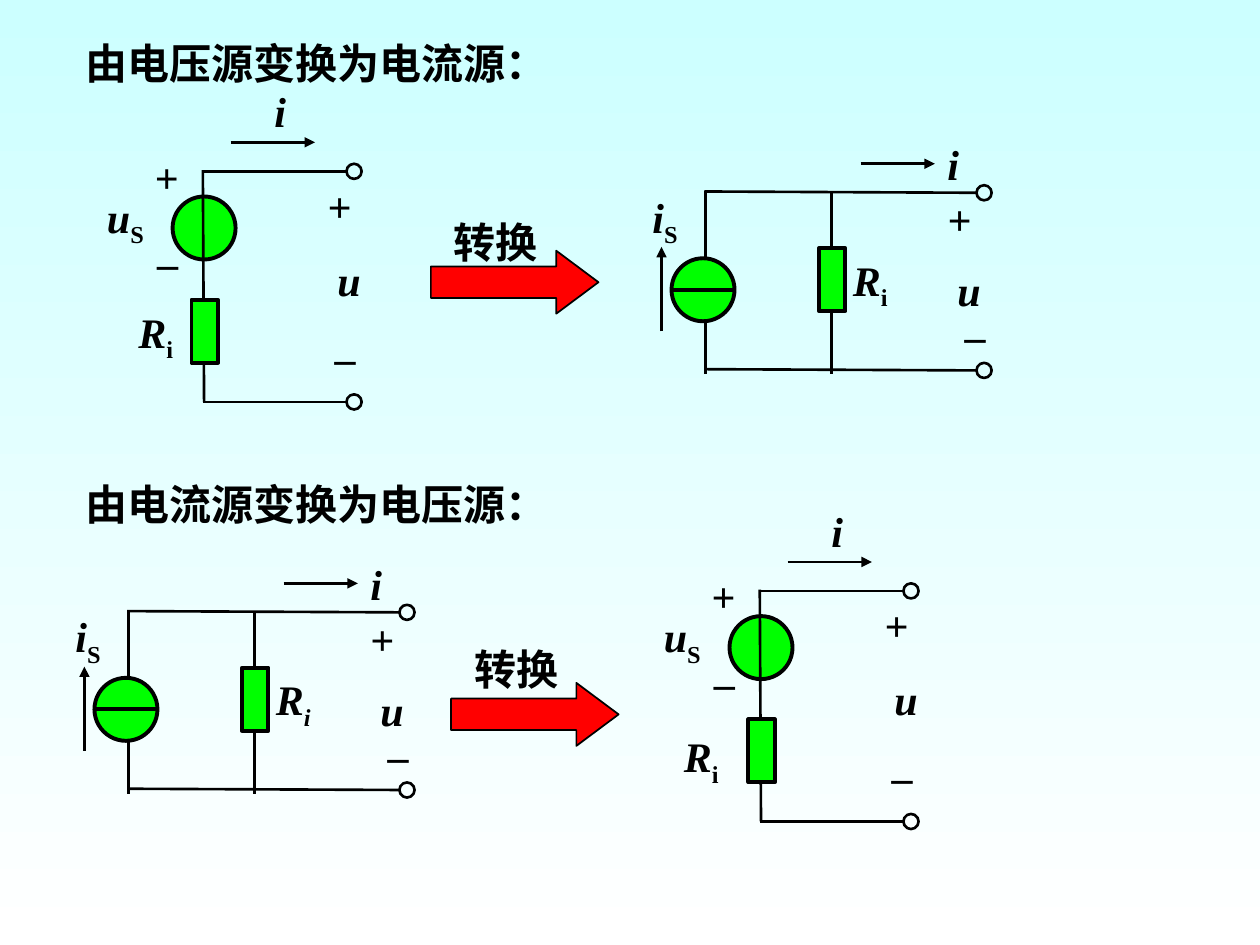
from pptx import Presentation
from pptx.dml.color import RGBColor
from pptx.enum.shapes import MSO_CONNECTOR, MSO_SHAPE
from pptx.enum.text import MSO_ANCHOR, PP_ALIGN
from pptx.oxml.ns import qn
from pptx.util import Inches, Pt
from lxml import etree

OVAL, RECTANGLE, ARROW = MSO_SHAPE.OVAL, MSO_SHAPE.RECTANGLE, MSO_SHAPE.RIGHT_ARROW
STRAIGHT = MSO_CONNECTOR.STRAIGHT
CENTER, MIDDLE = PP_ALIGN.CENTER, MSO_ANCHOR.MIDDLE
COLORS = {"ink": "000000", "part": "00FF00", "arrow": "FF0000",
          "top": "CCFFFF", "bottom": "FFFFFF"}
INK = RGBColor.from_string(COLORS["ink"])

presentation = Presentation()
presentation.slide_width, presentation.slide_height = Inches(10), Inches(7.5)
slide = presentation.slides.add_slide(presentation.slide_layouts[6])

background = slide.background.fill
background.gradient()
background.gradient_angle = 270
for stop, name, position in zip(background.gradient_stops, ("top", "bottom"), (0, 1)):
    stop.color.rgb = RGBColor.from_string(COLORS[name])
    stop.position = position


def add_part(kind, left, top, width, height, fill=None, weight=1.5):
    shape = slide.shapes.add_shape(
        kind, Inches(left), Inches(top), Inches(width), Inches(height))
    shape.shadow.inherit = False
    if fill:
        shape.fill.solid()
        shape.fill.fore_color.rgb = RGBColor.from_string(COLORS[fill])
    else:
        shape.fill.background()
    shape.line.color.rgb = INK
    shape.line.width = Pt(weight)
    return shape


def add_wire(x1, y1, x2, y2, weight=1.5, arrow=False):
    wire = slide.shapes.add_connector(
        STRAIGHT, Inches(x1), Inches(y1), Inches(x2), Inches(y2))
    wire.line.color.rgb = INK
    wire.line.width = Pt(weight)
    if arrow:
        etree.SubElement(wire.line._get_or_add_ln(), qn("a:tailEnd"), type="triangle")
    etree.SubElement(wire._element.spPr, qn("a:effectLst"))


# Each label: left, top, width, runs of (text, italic, subscript), centred
labels = []
for top, title in ((0.25, "由电压源变换为电流源："), (3.75, "由电流源变换为电压源：")):
    labels.append((0.58, top, 4.08, [(title, False, False)], False))

for left, top, label_left, label_top in ((3.42, 1.99, 3.5, 1.67), (3.58, 5.42, 3.67, 5.06)):
    arrow = add_part(ARROW, left, top, 1.33, 0.5, "arrow", 1)
    arrow.adjustments[0], arrow.adjustments[1] = 0.5, 0.67
    labels.append((label_left, label_top, 0.92, [("转换", False, False)], False))

# Voltage source circuits: offset from the upper one, then the place of Ri
for dx, dy, resistor_left, resistor_top in ((0, 0, 1, 2.38), (4.42, 3.33, 5.33, 5.75)):
    add_part(OVAL, 1.37 + dx, 1.56 + dy, 0.5, 0.5, "part", 2.25)
    add_wire(1.61 + dx, 1.35 + dy, 1.62 + dx, 3.19 + dy)
    add_part(RECTANGLE, 1.52 + dx, 2.38 + dy, 0.21, 0.5, "part", 2.25)
    for y in (1.36, 3.19):
        add_wire(1.61 + dx, y + dy, 2.75 + dx, y + dy)
        add_part(OVAL, 2.75 + dx, y - 0.06 + dy, 0.12, 0.12)
    add_wire(1.83 + dx, 1.13 + dy, 2.5 + dx, 1.13 + dy, arrow=True)
    for left, top, width, text in ((2.08, 0.63, 0.42, "i"), (2.5, 1.38, 0.5, "+"),
                                   (2.58, 1.97, 0.5, "u"), (2.58, 2.47, 0.5, "_")):
        labels.append((left + dx, top + dy, width, [(text, True, False)], False))
    for left, top, text in ((1.13, 1.15, "+"), (1.14, 1.72, "_")):
        labels.append((left + dx, top + dy, 0.38, [(text, False, False)], True))
    labels.append((0.75 + dx, 1.47 + dy, 0.58,
                   [("u", True, False), ("S", False, True)], False))
    labels.append((resistor_left, resistor_top, 0.5,
                   [("R", True, False), ("i", False, True)], False))

# Current source circuits: offset from the upper one, then the slant of the index of Ri
for dx, dy, index_italic in ((0, 0, False), (-4.58, 3.33, True)):
    for y in (1.52, 2.93):
        add_wire(5.59 + dx, y + dy, 7.75 + dx, y + 0.01 + dy)
        add_part(OVAL, 7.75 + dx, y - 0.05 + dy, 0.12, 0.12)
    for x in (5.6, 6.6):
        add_wire(x + dx, 1.52 + dy, x + dx, 2.97 + dy)
    add_part(OVAL, 5.33 + dx, 2.05 + dy, 0.5, 0.5, "part", 2.25)
    add_wire(5.33 + dx, 2.3 + dy, 5.83 + dx, 2.3 + dy, 2.25)
    add_part(RECTANGLE, 6.5 + dx, 1.97 + dy, 0.21, 0.5, "part", 2.25)
    add_wire(6.83 + dx, 1.3 + dy, 7.42 + dx, 1.3 + dy, arrow=True)
    add_wire(5.25 + dx, 2.63 + dy, 5.25 + dx, 1.96 + dy, arrow=True)
    for left, top, width, text in ((7.42, 1.05, 0.42, "i"), (7.42, 1.49, 0.5, "+"),
                                   (7.5, 2.05, 0.5, "u"), (7.58, 2.3, 0.5, "_")):
        labels.append((left + dx, top + dy, width, [(text, True, False)], False))
    labels.append((5.08 + dx, 1.47 + dy, 0.5,
                   [("i", True, False), ("S", False, True)], False))
    labels.append((6.67 + dx, 1.97 + dy, 0.58,
                   [("R", True, False), ("i", index_italic, True)], False))

for left, top, width, runs, centred in labels:
    height = 0.56 if len(runs) > 1 else 0.5
    box = slide.shapes.add_textbox(Inches(left), Inches(top), Inches(width), Inches(height))
    frame = box.text_frame
    frame.word_wrap = not centred
    paragraph = frame.paragraphs[0]
    if centred:
        frame.vertical_anchor = MIDDLE
        paragraph.alignment = CENTER
    for text, italic, subscript in runs:
        run = paragraph.add_run()
        run.text = text
        run.font.name = "Times New Roman"
        run.font.size = Pt(24)
        run.font.bold = True
        run.font.italic = italic
        run.font.color.rgb = INK
        if subscript:
            run.font._element.set("baseline", "-25000")

presentation.save("out.pptx")
